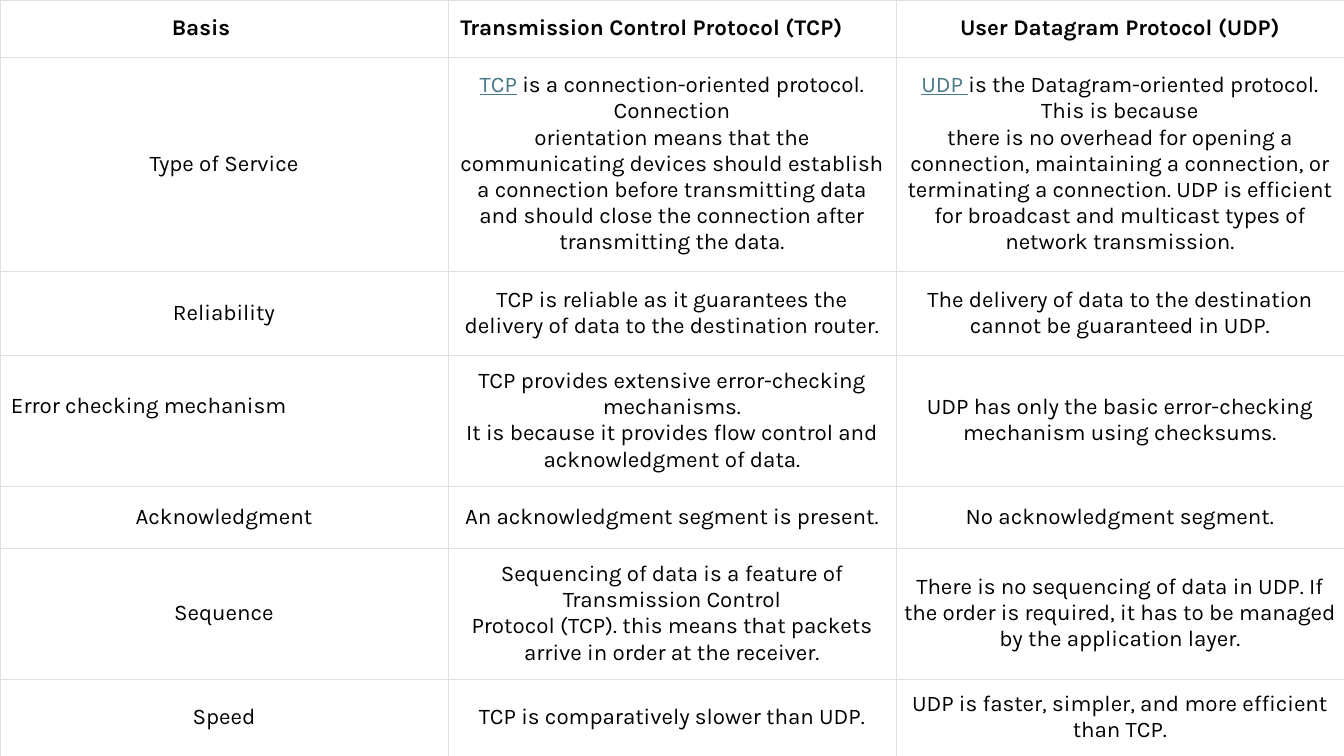
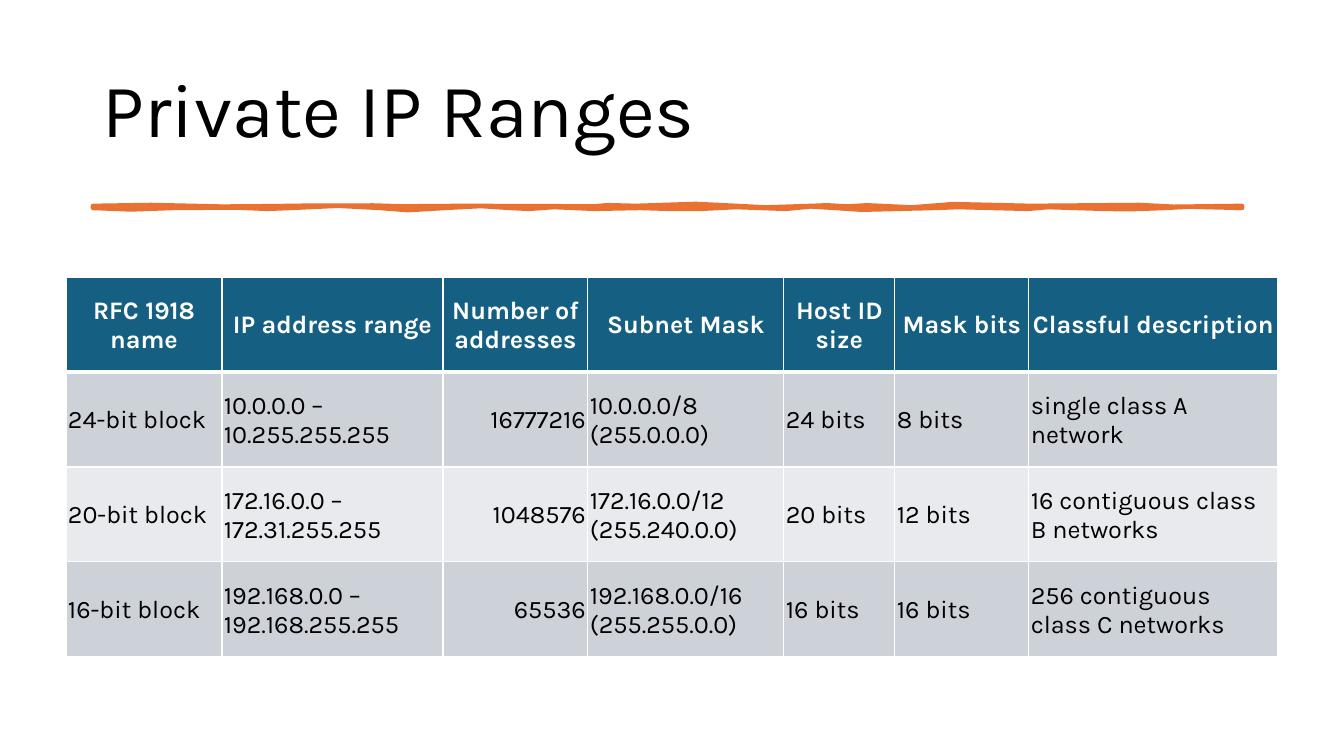
from lxml import etree
from pptx import Presentation
from pptx import util as u
from pptx.dml.color import RGBColor
from pptx.enum import text
from pptx.oxml.ns import qn

SCALE = 914400 / 100.8
SLIDE_W, SLIDE_H = 1344, 756

BLACK = RGBColor(0x00, 0x00, 0x00)
WHITE = RGBColor(0xFF, 0xFF, 0xFF)
GRID = RGBColor(0xDF, 0xDF, 0xDF)
LINK = RGBColor(0x46, 0x78, 0x86)
ORANGE = RGBColor(0xE9, 0x71, 0x32)
TEAL = RGBColor(0x15, 0x60, 0x82)
BAND_DARK = RGBColor(0xCC, 0xD2, 0xD8)
BAND_LIGHT = RGBColor(0xE8, 0xEA, 0xED)

FONT = "Karla"
LEFT, CENTER, RIGHT = text.PP_ALIGN.LEFT, text.PP_ALIGN.CENTER, text.PP_ALIGN.RIGHT

PROTOCOL_HEADINGS = ["Basis", "Transmission Control Protocol (TCP)", "User Datagram Protocol (UDP)"]
PROTOCOL_ROWS = [
    ["Type of Service",
     [("TCP", " is a connection-oriented protocol. Connection"),
      "orientation means that the communicating devices should establish a connection before "
      "transmitting data and should close the connection after transmitting the data."],
     [("UDP ", "is the Datagram-oriented protocol. This is because"),
      "there is no overhead for opening a connection, maintaining a connection, or terminating "
      "a connection. UDP is efficient for broadcast and multicast types of network transmission."]],
    ["Reliability",
     "TCP is reliable as it guarantees the delivery of data to the destination router.",
     "The delivery of data to the destination cannot be guaranteed in UDP."],
    ["Error checking mechanism",
     ["TCP provides extensive error-checking mechanisms.",
      "It is because it provides flow control and acknowledgment of data."],
     "UDP has only the basic error-checking mechanism using checksums."],
    ["Acknowledgment", "An acknowledgment segment is present.", "No acknowledgment segment."],
    ["Sequence",
     ["Sequencing of data is a feature of Transmission Control",
      "Protocol (TCP). this means that packets arrive in order at the receiver."],
     "There is no sequencing of data in UDP. If the order is required, it has to be managed "
     "by the application layer."],
    ["Speed", "TCP is comparatively slower than UDP.",
     "UDP is faster, simpler, and more efficient than TCP."],
]
PROTOCOL_HEIGHTS = [57, 214, 84, 131, 62, 131, 77]

RANGE_HEADINGS = ["RFC 1918 name", "IP address range", "Number of addresses", "Subnet Mask",
                  "Host ID size", "Mask bits", "Classful description"]
RANGE_ROWS = [
    ["24-bit block", "10.0.0.0 – 10.255.255.255", "16777216", "10.0.0.0/8 (255.0.0.0)",
     "24 bits", "8 bits", "single class A network"],
    ["20-bit block", "172.16.0.0 – 172.31.255.255", "1048576", "172.16.0.0/12 (255.240.0.0)",
     "20 bits", "12 bits", "16 contiguous class B networks"],
    ["16-bit block", "192.168.0.0 – 192.168.255.255", "65536", "192.168.0.0/16 (255.255.0.0)",
     "16 bits", "16 bits", "256 contiguous class C networks"],
]
RANGE_WIDTHS = [156, 221, 145, 196, 111, 134, 249]

RULE_TOP = [(0, 0), (58, -9), (99, 0), (129, 7), (179, 3), (220, -3), (280, -4), (310, 5),
            (371, 0), (501, 5), (515, -7), (543, 0), (603, -20), (643, 0), (673, 15),
            (719, 0), (734, -6), (754, 6), (774, -6), (819, 15), (860, -18), (938, 0),
            (1046, -9), (1081, 9), (1149, 0)]
RULE_BOTTOM = [(0, 20), (38, 35), (80, 20), (144, 16), (174, 29), (198, 20), (245, -2),
               (287, 20), (315, 42), (352, 20), (388, 1), (417, 20), (436, 29), (461, 11),
               (502, 29), (547, 20), (577, 29), (608, 29), (643, 11), (693, 29), (718, 5),
               (742, 20), (769, 38), (842, 20), (865, 11), (935, 29), (955, 11), (1011, 29),
               (1036, 33), (1072, 20), (1096, 7), (1149, 20)]


def px(length):
    """Turn px into EMU."""
    return u.Emu(round(length * SCALE))


def add_run(paragraph, words, size, colour, bold=False, underline=False):
    """Append one formatted run."""
    run = paragraph.add_run()
    run.text = words
    font = run.font
    font.name, font.size, font.bold = FONT, u.Pt(size), bold
    font.color.rgb = colour
    if underline:
        font.underline = True


def set_margins(cell, left, top, right, bottom):
    """Set the four inner margins of a cell."""
    cell.margin_left, cell.margin_top = px(left), px(top)
    cell.margin_right, cell.margin_bottom = px(right), px(bottom)


def fill_cell(cell, content, size, colour, align, bold=False):
    """Write paragraphs into a cell; a pair is a linked word and its sentence."""
    cell.vertical_anchor = text.MSO_ANCHOR.MIDDLE
    paragraphs = [content] if isinstance(content, str) else content
    for index, sentence in enumerate(paragraphs):
        frame = cell.text_frame
        paragraph = frame.add_paragraph() if index else frame.paragraphs[0]
        paragraph.alignment = align
        if isinstance(sentence, tuple):
            linked, sentence = sentence
            add_run(paragraph, linked, size, LINK, underline=True)
        add_run(paragraph, sentence, size, colour, bold)


def paint_cell(cell, fill, border, width, top=None, bottom=None):
    """Set cell borders, in points, and then the fill."""
    properties = cell._tc.get_or_add_tcPr()
    for side, points in (("L", width), ("R", width), ("T", top or width), ("B", bottom or width)):
        line = etree.SubElement(properties, qn("a:ln" + side), w=str(u.Pt(points)))
        solid = etree.SubElement(line, qn("a:solidFill"))
        etree.SubElement(solid, qn("a:srgbClr"), val=str(border))
    cell.fill.solid()
    cell.fill.fore_color.rgb = fill


def add_grid(slide, left, top, widths, heights):
    """Add an unbanded table with the given columns and rows."""
    table = slide.shapes.add_table(len(heights), len(widths), px(left), px(top),
                                   px(sum(widths)), px(sum(heights))).table
    table.first_row = table.horz_banding = False
    for column, width in zip(table.columns, widths):
        column.width = px(width)
    for row, height in zip(table.rows, heights):
        row.height = px(height)
    return table


def protocol_table(slide, left, top, width):
    """Place the TCP and UDP comparison."""
    table = add_grid(slide, left, top, [width // 3] * 3, PROTOCOL_HEIGHTS)
    for r, row in enumerate([PROTOCOL_HEADINGS] + PROTOCOL_ROWS):
        for c, content in enumerate(row):
            cell = table.cell(r, c)
            heading = r == 0
            inset = 8 if heading else 12
            set_margins(cell, 8, inset, 8, inset)
            align = LEFT if content == "Error checking mechanism" else CENTER
            fill_cell(cell, content, 16, BLACK, align, heading)
            paint_cell(cell, WHITE, GRID, 0.23)
    set_margins(table.cell(0, 0), 3, 8, 49, 8)
    set_margins(table.cell(0, 1), 8, 8, 49, 8)
    set_margins(table.cell(3, 0), 11, 12, 8, 40)


def range_table(slide, left, top, row_height):
    """Place the table of private address ranges."""
    table = add_grid(slide, left, top, RANGE_WIDTHS, [row_height] * (len(RANGE_ROWS) + 1))
    for r, row in enumerate([RANGE_HEADINGS] + RANGE_ROWS):
        for c, content in enumerate(row):
            cell = table.cell(r, c)
            set_margins(cell, 2, 2, 2, 0)
            if r == 0:
                fill_cell(cell, content, 18, WHITE, CENTER, True)
                paint_cell(cell, TEAL, WHITE, 1, bottom=3)
            else:
                fill_cell(cell, content, 18, BLACK, RIGHT if c == 2 else LEFT)
                paint_cell(cell, BAND_DARK if r % 2 else BAND_LIGHT, WHITE, 1,
                           top=3 if r == 1 else None)


def title(slide, words, left, top, width, height):
    """Place the slide title."""
    frame = slide.shapes.add_textbox(px(left), px(top), px(width), px(height)).text_frame
    frame.word_wrap = True
    frame.vertical_anchor = text.MSO_ANCHOR.MIDDLE
    frame.paragraphs[0].line_spacing = 0.9
    add_run(frame.paragraphs[0], words, 54, BLACK)


def brush_rule(slide, left, top):
    """Draw the hand-drawn rule; its ripples are tenths of a px."""
    outline = RULE_TOP + RULE_BOTTOM[::-1]
    builder = slide.shapes.build_freeform(*outline[0], scale=(SCALE, SCALE / 10))
    builder.add_line_segments(outline[1:], close=True)
    rule = builder.convert_to_shape(px(left), px(top))
    rule.shadow.inherit = False
    rule.fill.solid()
    rule.fill.fore_color.rgb = ORANGE
    rule.line.color.rgb = ORANGE
    rule.line.width = u.Pt(3.25)
    etree.SubElement(rule.line._get_or_add_ln(), qn("a:round"))


def protocol_slide(slide):
    """Compose the protocol comparison slide."""
    protocol_table(slide, 0, 0, SLIDE_W)


def range_slide(slide):
    """Compose the private address slide."""
    title(slide, "Private IP Ranges", 93, 40, 1159, 146)
    brush_rule(slide, 93, 206)
    range_table(slide, 66, 277, 95)


def main():
    """Build and save the deck."""
    deck = Presentation()
    deck.slide_width, deck.slide_height = px(SLIDE_W), px(SLIDE_H)
    for compose in (protocol_slide, range_slide):
        compose(deck.slides.add_slide(deck.slide_layouts[6]))
    deck.save("out.pptx")


if __name__ == "__main__":
    main()
